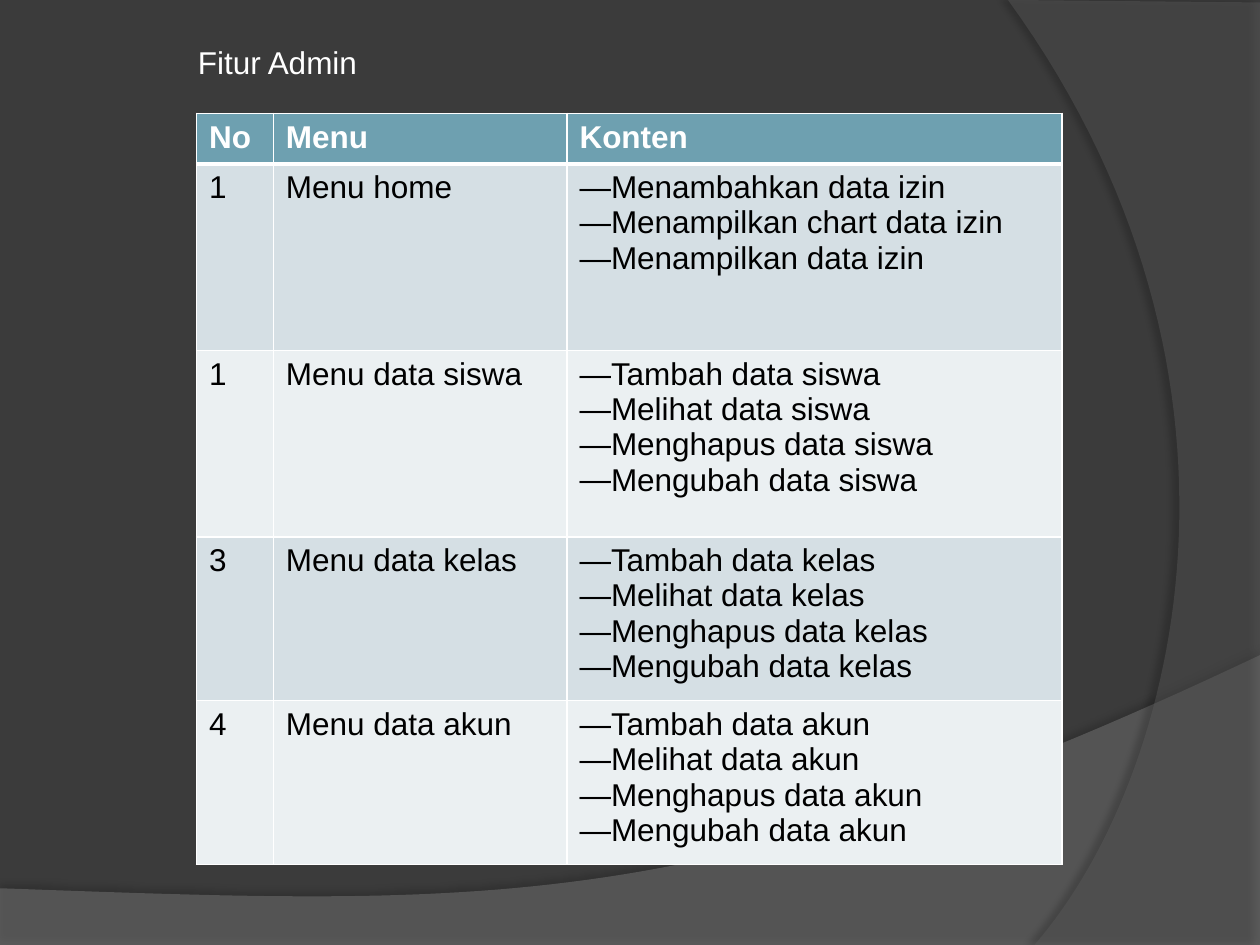
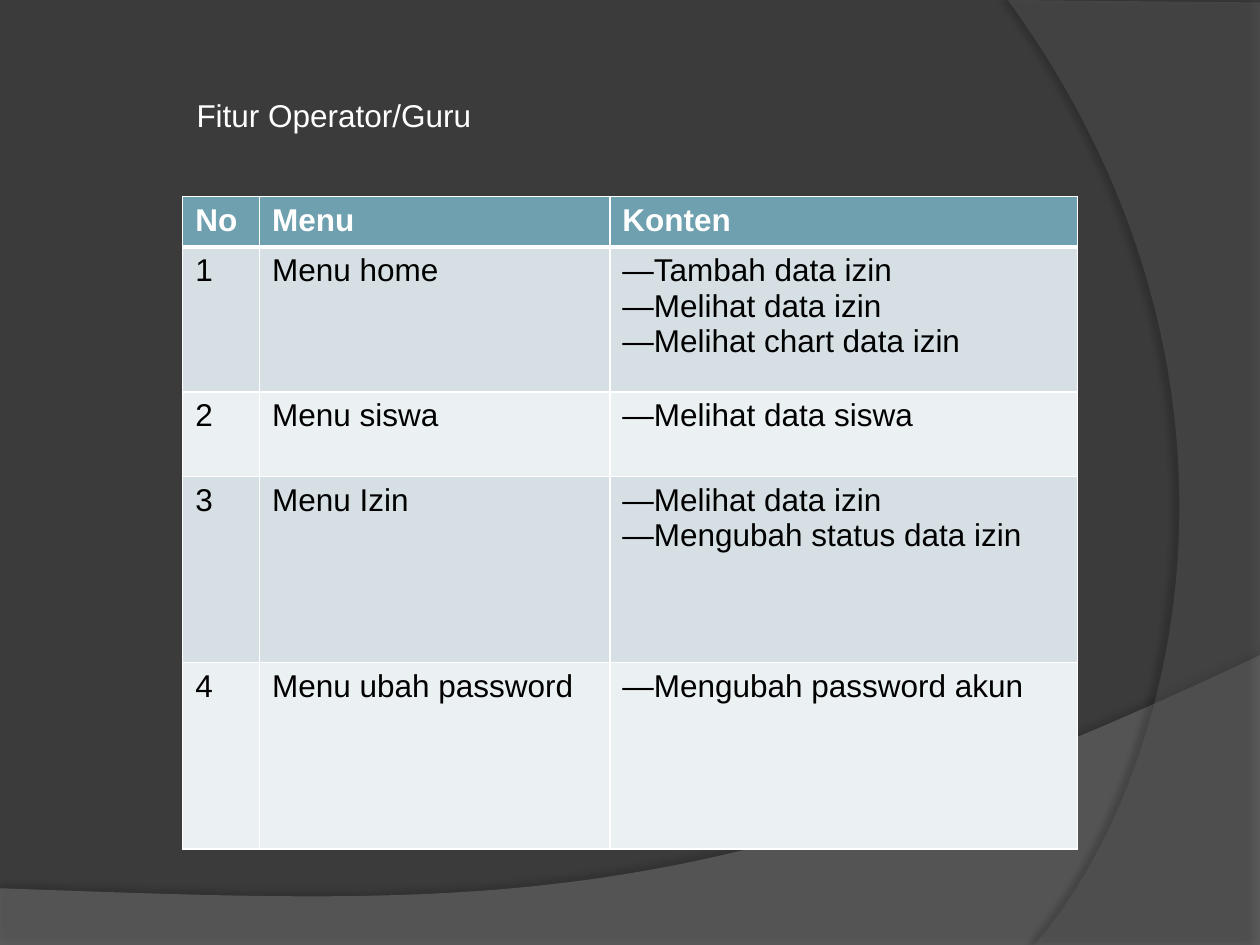
from lxml.etree import SubElement
from pptx import Presentation
from pptx.dml.color import RGBColor
from pptx.enum.text import MSO_ANCHOR, MSO_AUTO_SIZE, PP_ALIGN
from pptx.oxml import parse_xml
from pptx.oxml.ns import nsdecls, qn
from pptx.util import Inches, Pt

BACKGROUND = RGBColor(0x3B, 0x3B, 0x3B)
FLOOR = RGBColor(0x7F, 0x7F, 0x7F)
SIDE = RGBColor(0x5E, 0x5E, 0x5E)
WHITE = RGBColor(0xFF, 0xFF, 0xFF)
BLACK = RGBColor(0x00, 0x00, 0x00)
HEADER = RGBColor(0x6E, 0xA0, 0xB0)
BANDS = [RGBColor(0xD5, 0xDF, 0xE4), RGBColor(0xEB, 0xF0, 0xF2)]
FONT = "Arial"
TEXT_SIZE = Pt(18)
DASH = "―"
HEADINGS = ("No", "Menu", "Konten")


def data_actions(subject):
    """The four actions an admin has on one kind of data."""
    verbs = ("Tambah", "Melihat", "Menghapus", "Mengubah")
    return [f"{verb} data {subject}" for verb in verbs]


# Each menu: number, name, contents
ADMIN_MENUS = [
    ("1", "Menu home", ["Menambahkan data izin", "Menampilkan chart data izin",
                        "Menampilkan data izin"]),
    ("1", "Menu data siswa", data_actions("siswa")),
    ("3", "Menu data kelas", data_actions("kelas")),
    ("4", "Menu data akun", data_actions("akun")),
]
OPERATOR_MENUS = [
    ("1", "Menu home", ["Tambah data izin", "Melihat data izin",
                        "Melihat chart data izin"]),
    ("2", "Menu siswa", ["Melihat data siswa"]),
    ("3", "Menu Izin", ["Melihat data izin", "Mengubah status data izin"]),
    ("4", "Menu ubah password", ["Mengubah password akun"]),
]


def curve(start, control_1, control_2, end, steps=60):
    """Points along a cubic Bezier curve, without its start."""
    points = []
    for step in range(1, steps + 1):
        t = step / steps
        weights = ((1 - t) ** 3, 3 * t * (1 - t) ** 2, 3 * t * t * (1 - t), t ** 3)
        corners = (start, control_1, control_2, end)
        points.append(tuple(sum(w * c[axis] for w, c in zip(weights, corners))
                            for axis in (0, 1)))
    return points


def add_swoosh(slide, points, color, opacity, shadow_opacity, distance, direction):
    """Translucent curved area with a soft shadow."""
    start, *rest = [(Inches(x), Inches(y)) for x, y in points]
    builder = slide.shapes.build_freeform(*start)
    builder.add_line_segments(rest, close=True)
    swoosh = builder.convert_to_shape()
    swoosh.fill.solid()
    swoosh.fill.fore_color.rgb = color
    swoosh.line.fill.background()
    properties = swoosh.element.spPr
    fill_color = properties.find(qn("a:solidFill"))[0]
    SubElement(fill_color, qn("a:alpha"), val=str(opacity * 1000))
    properties.append(parse_xml(
        f'<a:effectLst {nsdecls("a")}><a:outerShdw blurRad="{Pt(4)}" '
        f'dist="{Pt(distance)}" dir="{direction * 60000}" algn="ctr" rotWithShape="0">'
        f'<a:srgbClr val="{BLACK}"><a:alpha val="{shadow_opacity * 1000}"/></a:srgbClr>'
        '</a:outerShdw></a:effectLst>'))
    return swoosh


def decorate_layout(layout, slide):
    """Draw the swooshes and hand them to the layout all slides share."""
    floor = [(0, 7.05), (0, 7.5), (10, 7.5), (10, 5.2)]
    floor += curve((10, 5.2), (5.59, 7.29), (3.91, 7.19), (0, 7.05))
    side = [(10, 0.02), (10, 7.5), (8.21, 7.5)]
    side += curve((8.21, 7.5), (9.35, 6.19), (10.18, 3), (8, 0))
    for swoosh in (add_swoosh(slide, floor, FLOOR, 45, 35, 3.5, 270),
                   add_swoosh(slide, side, SIDE, 40, 45, 4, 180)):
        layout.shapes.element.append(swoosh.element)


def format_text(paragraph, color, bold=False):
    for run in paragraph.runs:
        run.font.name = FONT
        run.font.size = TEXT_SIZE
        run.font.bold = bold
        run.font.color.rgb = color


def set_title(slide, text, left, top, width):
    title = slide.shapes.title
    title.left, title.top = Inches(left), Inches(top)
    title.width, title.height = Inches(width), Inches(0.4)
    frame = title.text_frame
    frame.text = text
    frame.word_wrap = False
    frame.auto_size = MSO_AUTO_SIZE.SHAPE_TO_FIT_TEXT
    frame.vertical_anchor = MSO_ANCHOR.TOP
    frame.paragraphs[0].alignment = PP_ALIGN.LEFT
    format_text(frame.paragraphs[0], WHITE)


def set_borders(cell, top, bottom):
    """White borders; top and bottom widths in points."""
    properties = cell._tc.get_or_add_tcPr()
    widths = {"L": 1, "R": 1, "T": top, "B": bottom}
    for position, (side, width) in enumerate(widths.items()):
        properties.insert(position, parse_xml(
            f'<a:ln{side} {nsdecls("a")} w="{Pt(width)}"><a:solidFill>'
            f'<a:srgbClr val="{WHITE}"/></a:solidFill></a:ln{side}>'))


def add_dash(paragraph):
    properties = paragraph._p.get_or_add_pPr()
    properties.set("marL", "0")
    properties.set("indent", "0")
    SubElement(properties, qn("a:buFont"), typeface=FONT)
    SubElement(properties, qn("a:buChar"), char=DASH)


def fill_cell(cell, lines, fill, color, bold=False, dashed=False):
    cell.fill.solid()
    cell.fill.fore_color.rgb = fill
    cell.text_frame.text = "\n".join(lines)
    for paragraph in cell.text_frame.paragraphs:
        format_text(paragraph, color, bold)
        if dashed:
            add_dash(paragraph)


def add_menu_table(slide, menus, left, top, widths, heights):
    table = slide.shapes.add_table(
        len(heights), len(widths), Inches(left), Inches(top),
        Inches(sum(widths)), Inches(sum(heights))).table
    table.horz_banding = False
    for column, width in zip(table.columns, widths):
        column.width = Inches(width)
    for row, height in zip(table.rows, heights):
        row.height = Inches(height)

    # Header row
    for column, heading in enumerate(HEADINGS):
        cell = table.cell(0, column)
        fill_cell(cell, [heading], HEADER, WHITE, bold=True)
        set_borders(cell, 1, 3)

    # One banded row for each menu
    for row, (number, name, contents) in enumerate(menus, start=1):
        band = BANDS[(row - 1) % 2]
        for column, lines in enumerate(([number], [name], contents)):
            cell = table.cell(row, column)
            fill_cell(cell, lines, band, BLACK, dashed=column == 2)
            set_borders(cell, 3 if row == 1 else 1, 1)


def main():
    prs = Presentation()
    prs.slide_width, prs.slide_height = Inches(10), Inches(7.5)
    background = prs.slide_master.background.fill
    background.solid()
    background.fore_color.rgb = BACKGROUND
    title_only = prs.slide_layouts[5]

    # Admin features
    admin = prs.slides.add_slide(title_only)
    decorate_layout(title_only, admin)
    set_title(admin, "Fitur Admin", 1.47, 0.29, 1.56)
    add_menu_table(admin, ADMIN_MENUS, 1.56, 0.9,
                   (0.61, 2.33, 3.93), (0.4, 1.48, 1.48, 1.3, 1.3))

    # Operator and teacher features
    operator = prs.slides.add_slide(title_only)
    set_title(operator, "Fitur Operator/Guru", 1.46, 0.71, 2.61)
    add_menu_table(operator, OPERATOR_MENUS, 1.45, 1.56,
                   (0.61, 2.78, 3.71), (0.4, 1.15, 0.67, 1.48, 1.48))

    prs.save("out.pptx")


if __name__ == "__main__":
    main()
